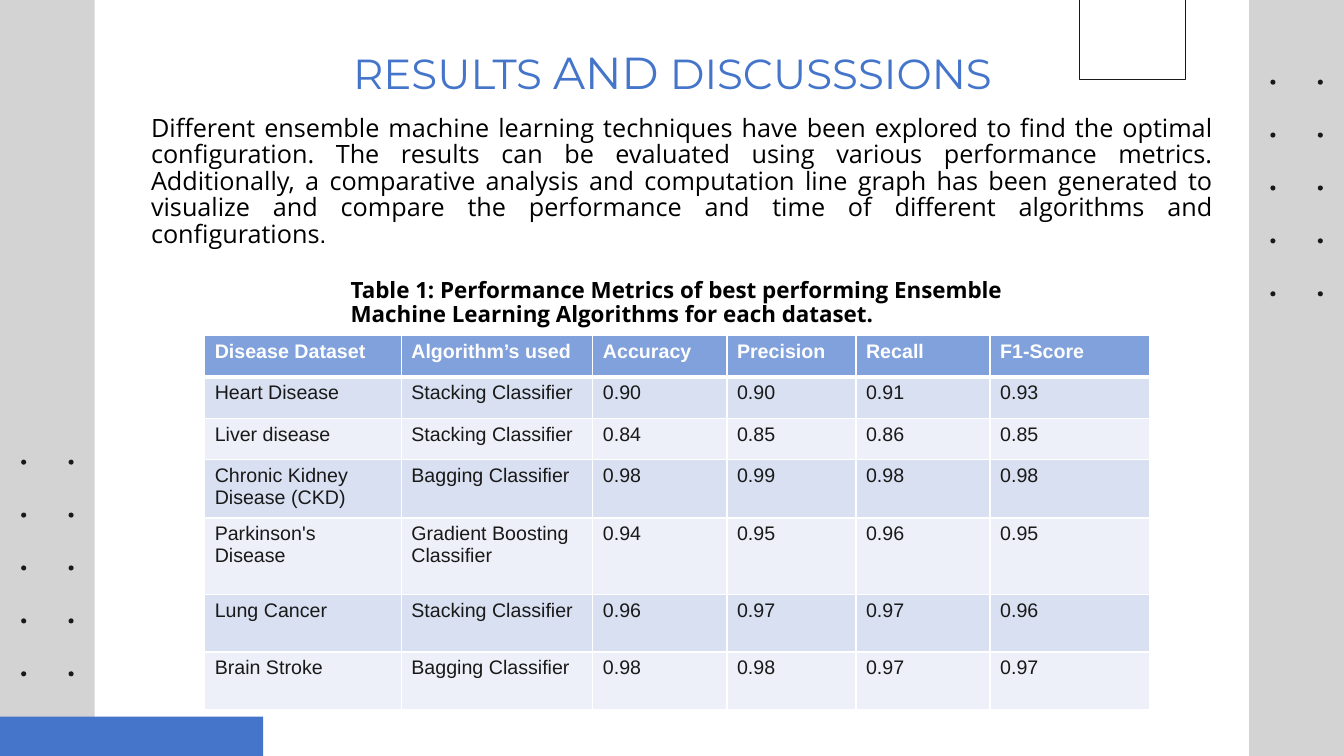
from lxml import etree
from pptx import Presentation
from pptx.dml.color import RGBColor
from pptx.enum.shapes import MSO_SHAPE
from pptx.enum.text import MSO_ANCHOR, PP_ALIGN
from pptx.oxml.ns import qn
from pptx.util import Inches, Pt

RECTANGLE, OVAL = MSO_SHAPE.RECTANGLE, MSO_SHAPE.OVAL
CENTER, JUSTIFY = PP_ALIGN.CENTER, PP_ALIGN.JUSTIFY
TOP, MIDDLE = MSO_ANCHOR.TOP, MSO_ANCHOR.MIDDLE

WIDTH, HEIGHT = 13.33, 7.5
BLUE, GRAY, INK, BLACK, WHITE = "4475CA", "D3D3D3", "191919", "000000", "FFFFFF"
HEADER_FILL, BAND_FILLS = "80A1DB", ("D8E0F1", "EDF0F8")

BODY = (
    "Different ensemble machine learning techniques have been explored to find "
    "the optimal configuration. The results can be evaluated using various "
    "performance metrics. Additionally, a comparative analysis and computation "
    "line graph has been generated to visualize and compare the performance and "
    "time of different algorithms and configurations"
)
CAPTION = (
    "Table 1: Performance Metrics of best performing Ensemble\v"
    "Machine Learning Algorithms for each dataset."
)
COLUMN_WIDTHS = (1.95, 1.9, 1.33, 1.28, 1.33, 1.58)
ROW_HEIGHTS = (0.41, 0.41, 0.41, 0.58, 0.76, 0.57, 0.57)
METRICS = (
    ("Disease Dataset", "Algorithm’s used", "Accuracy", "Precision", "Recall", "F1-Score"),
    ("Heart Disease", "Stacking Classifier", "0.90", "0.90", "0.91", "0.93"),
    ("Liver disease", "Stacking Classifier", "0.84", "0.85", "0.86", "0.85"),
    ("Chronic Kidney Disease (CKD)", "Bagging Classifier", "0.98", "0.99", "0.98", "0.98"),
    ("Parkinson's Disease", "Gradient Boosting Classifier", "0.94", "0.95", "0.96", "0.95"),
    ("Lung Cancer", "Stacking Classifier", "0.96", "0.97", "0.97", "0.96"),
    ("Brain Stroke", "Bagging Classifier", "0.98", "0.98", "0.97", "0.97"),
)


def color(value):
    return RGBColor.from_string(value)


def set_font(font, name, size, value, bold=False):
    font.name, font.size, font.bold = name, Pt(size), bold
    font.color.rgb = color(value)


def add_block(page, kind, box, fill=None, line=None):
    shape = page.shapes.add_shape(kind, *map(Inches, box))
    shape.shadow.inherit = False
    if fill:
        shape.fill.solid()
        shape.fill.fore_color.rgb = color(fill)
    else:
        shape.fill.background()
    if line:
        shape.line.color.rgb = color(line)
        shape.line.width = Pt(0.75)
    else:
        shape.line.fill.background()


def add_text_box(page, box, anchor=TOP):
    """Adds a wrapping text box and returns its first paragraph."""
    frame = page.shapes.add_textbox(*map(Inches, box)).text_frame
    frame.word_wrap = True
    frame.vertical_anchor = anchor
    return frame.paragraphs[0]


def add_dots(page, left, top):
    for column in range(2):
        for row in range(5):
            box = (left + column * 0.47, top + row * 0.525, 0.05, 0.05)
            add_block(page, OVAL, box, INK)


def add_decoration(page, left, top, width, height):
    # Side bands
    band = 0.94
    for band_left in (left, left + width - band):
        add_block(page, RECTANGLE, (band_left, top, band, height), GRAY)
    add_dots(page, left + width - 0.73, top + 0.79)
    # Corner bar and outlined square
    add_block(page, RECTANGLE, (left, top + height - 0.39, 2.61, 0.39), BLUE)
    add_dots(page, left + 0.21, top + 4.56)
    add_block(page, RECTANGLE, (left + 10.71, top - 0.26, 1.05, 1.05), line=INK)


def add_title(page, box):
    para = add_text_box(page, box, MIDDLE)
    para.alignment = CENTER
    set_font(para.font, "Montserrat", 30, BLUE)
    for text, size in (("RESULTS ", 30), ("AND", 32), (" DISCUSSSIONS", 30)):
        span = para.add_run()
        span.text = text
        span.font.size = Pt(size)


def add_body(page, box):
    para = add_text_box(page, box)
    para.alignment = JUSTIFY
    para.line_spacing = 0.88
    for text, name, size in ((BODY, "Open Sans", 18), (". ", "Arial", 17)):
        span = para.add_run()
        span.text = text
        set_font(span.font, name, size, BLACK)


def add_caption(page, box):
    para = add_text_box(page, box)
    para.text = CAPTION
    para.line_spacing = 0.87
    set_font(para.font, "Open Sans", 16, BLACK, True)


def set_borders(cell, top, bottom):
    properties = cell._tc.get_or_add_tcPr()
    sides = (("a:lnL", 1), ("a:lnR", 1), ("a:lnT", top), ("a:lnB", bottom))
    for position, (tag, points) in enumerate(sides):
        line = etree.Element(qn(tag), w=str(Pt(points)))
        fill = etree.SubElement(line, qn("a:solidFill"))
        etree.SubElement(fill, qn("a:srgbClr"), val=WHITE)
        properties.insert(position, line)


def add_metrics_table(page, left, top):
    box = (left, top, sum(COLUMN_WIDTHS), sum(ROW_HEIGHTS))
    table = page.shapes.add_table(
        len(METRICS), len(COLUMN_WIDTHS), *map(Inches, box)
    ).table
    for column, width in zip(table.columns, COLUMN_WIDTHS):
        column.width = Inches(width)
    for index, (row, height, texts) in enumerate(zip(table.rows, ROW_HEIGHTS, METRICS)):
        row.height = Inches(height)
        header = index == 0
        fill = HEADER_FILL if header else BAND_FILLS[(index - 1) % 2]
        for cell, text in zip(row.cells, texts):
            cell.text = text
            cell.fill.solid()
            cell.fill.fore_color.rgb = color(fill)
            font = cell.text_frame.paragraphs[0].font
            set_font(font, "Arial", 14, WHITE if header else INK, header)
            # Thick rule between the header and the first data row
            set_borders(cell, 3 if index == 1 else 1, 3 if header else 1)


def main():
    deck = Presentation()
    deck.slide_width, deck.slide_height = Inches(WIDTH), Inches(HEIGHT)
    page = deck.slides.add_slide(deck.slide_layouts[6])
    add_decoration(page, 0, 0, WIDTH, HEIGHT)
    add_title(page, (1.59, 0.33, 10.16, 0.77))
    add_body(page, (1.4, 1.1, 10.73, 6.22))
    add_metrics_table(page, 2.03, 3.33)
    add_caption(page, (3.38, 2.73, 7.71, 0.91))
    deck.save("out.pptx")


if __name__ == "__main__":
    main()
